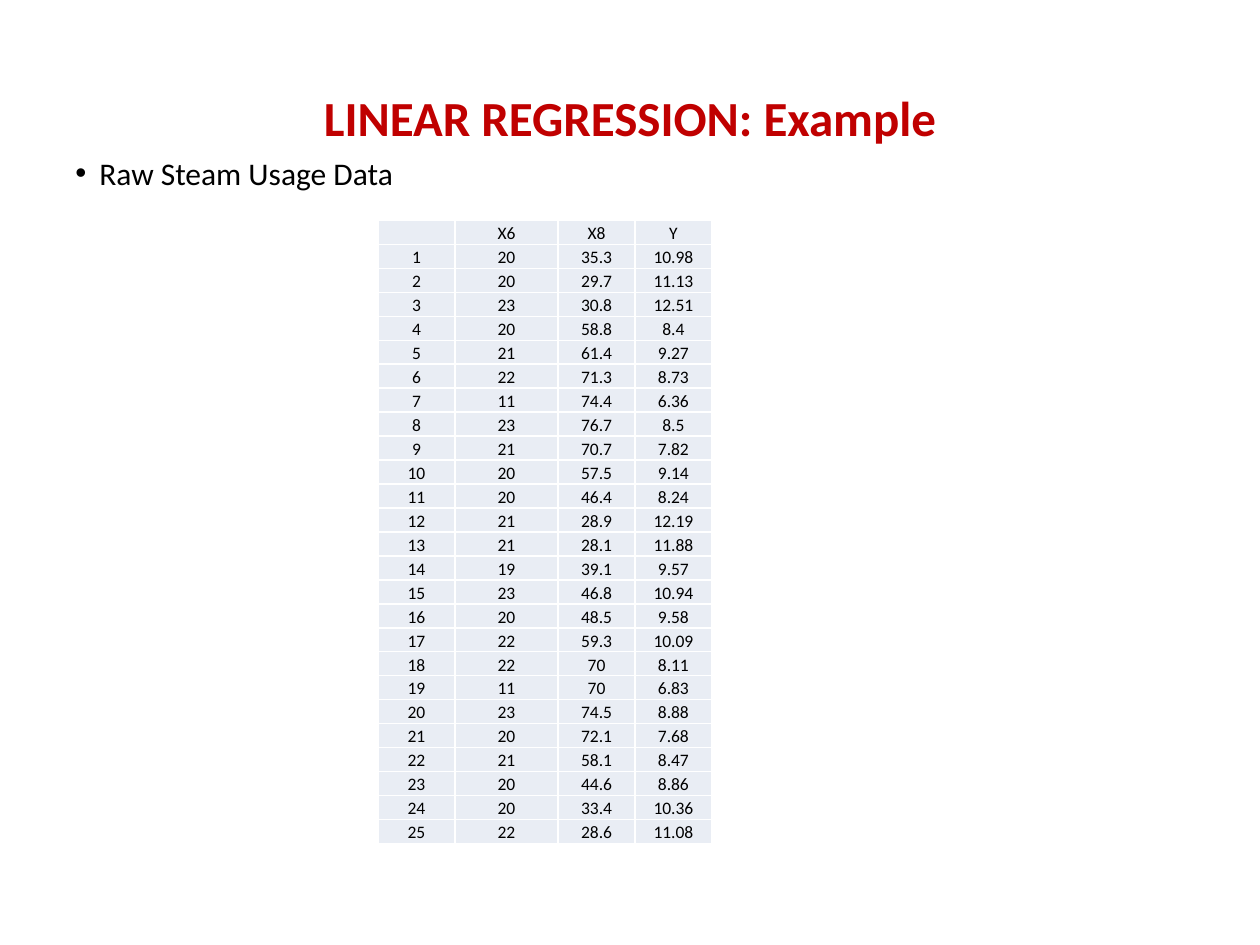
from lxml.etree import SubElement
from pptx import Presentation
from pptx.dml.color import RGBColor
from pptx.enum.text import MSO_ANCHOR, MSO_AUTO_SIZE, PP_ALIGN
from pptx.oxml import parse_xml
from pptx.oxml.ns import nsdecls, qn
from pptx.util import Inches, Pt

COLORS = {"title": "C00000", "text": "000000", "cell": "E9EDF4", "border": "FFFFFF"}
FONT = "Calibri"
COLUMN_SHARES = (0.61, 0.82, 0.61, 0.61)
HEADER = ("", "X6", "X8", "Y")
X6 = (20, 20, 23, 20, 21, 22, 11, 23, 21, 20, 20, 21, 21,
      19, 23, 20, 22, 22, 11, 23, 20, 21, 20, 20, 22)
X8 = (35.3, 29.7, 30.8, 58.8, 61.4, 71.3, 74.4, 76.7, 70.7, 57.5, 46.4, 28.9, 28.1,
      39.1, 46.8, 48.5, 59.3, 70, 70, 74.5, 72.1, 58.1, 44.6, 33.4, 28.6)
Y = (10.98, 11.13, 12.51, 8.4, 9.27, 8.73, 6.36, 8.5, 7.82, 9.14, 8.24, 12.19, 11.88,
     9.57, 10.94, 9.58, 10.09, 8.11, 6.83, 8.88, 7.68, 8.47, 8.86, 10.36, 11.08)


def format_runs(p, size, color, bold=False):
    for r in p.runs:
        r.font.name, r.font.size, r.font.bold = FONT, Pt(size), bold
        r.font.color.rgb = RGBColor.from_string(COLORS[color])


def add_text(s, box, text, size, color, bold=False):
    tf = s.shapes.add_textbox(*box).text_frame
    tf.word_wrap = True
    tf.text = text
    format_runs(tf.paragraphs[0], size, color, bold)
    return tf


def add_title(s, box):
    tf = add_text(s, box, "LINEAR REGRESSION: Example", 28, "title", True)
    tf.vertical_anchor = MSO_ANCHOR.MIDDLE
    tf.paragraphs[0].alignment = PP_ALIGN.CENTER


def add_bullet(s, box):
    tf = add_text(s, box, "Raw Steam Usage Data", 18, "text")
    tf.auto_size = MSO_AUTO_SIZE.SHAPE_TO_FIT_TEXT
    pPr = tf.paragraphs[0]._p.get_or_add_pPr()
    indent = Inches(0.19)
    pPr.set("marL", str(indent))
    pPr.set("indent", str(-indent))
    SubElement(pPr, qn("a:buFont"), typeface="Arial")
    SubElement(pPr, qn("a:buChar"), char="•")


def style_cell(cell):
    cell.margin_left = cell.margin_right = cell.margin_top = Inches(0.01)
    cell.margin_bottom = 0
    cell.vertical_anchor = MSO_ANCHOR.BOTTOM
    cell.fill.solid()
    cell.fill.fore_color.rgb = RGBColor.from_string(COLORS["cell"])
    # Borders come before the fill in the cell properties
    tcPr = cell._tc.get_or_add_tcPr()
    for i, side in enumerate("LRTB"):
        tcPr.insert(i, parse_xml(
            f'<a:ln{side} {nsdecls("a")} w="{Pt(1)}"><a:solidFill>'
            f'<a:srgbClr val="{COLORS["border"]}"/></a:solidFill></a:ln{side}>'))
    p = cell.text_frame.paragraphs[0]
    p.alignment = PP_ALIGN.CENTER
    format_runs(p, 10, "text")
    if not p.runs:  # keeps the empty corner cell as low as its row
        SubElement(p._p, qn("a:endParaRPr"), sz="1000")


def add_data_table(s, box):
    rows = [HEADER, *zip(range(1, len(Y) + 1), X6, X8, Y)]
    left, top, width, height = box
    frame = s.shapes.add_table(len(rows), len(HEADER), left, top, width, height)
    table = frame.table
    for column, share in zip(table.columns, COLUMN_SHARES):
        column.width = int(width * share / sum(COLUMN_SHARES))
    for row, values in zip(table.rows, rows):
        row.height = height // len(rows)
        for cell, value in zip(row.cells, values):
            cell.text = str(value)
            style_cell(cell)


def main():
    prs = Presentation()
    prs.slide_width, prs.slide_height = Inches(10), Inches(7.5)
    s = prs.slides.add_slide(prs.slide_layouts[6])

    def area(x, y, w, h):
        """Turn shares of the slide's size into a box."""
        W, H = prs.slide_width, prs.slide_height
        return int(x * W), int(y * H), int(w * W), int(h * H)

    add_title(s, area(0.05, 0.04, 0.9, 1 / 6))
    add_bullet(s, area(0.05, 0.156, 0.9, 0.053))
    add_data_table(s, area(0.3, 0.2333, 0.265, 0.66))
    prs.save("out.pptx")


if __name__ == "__main__":
    main()
